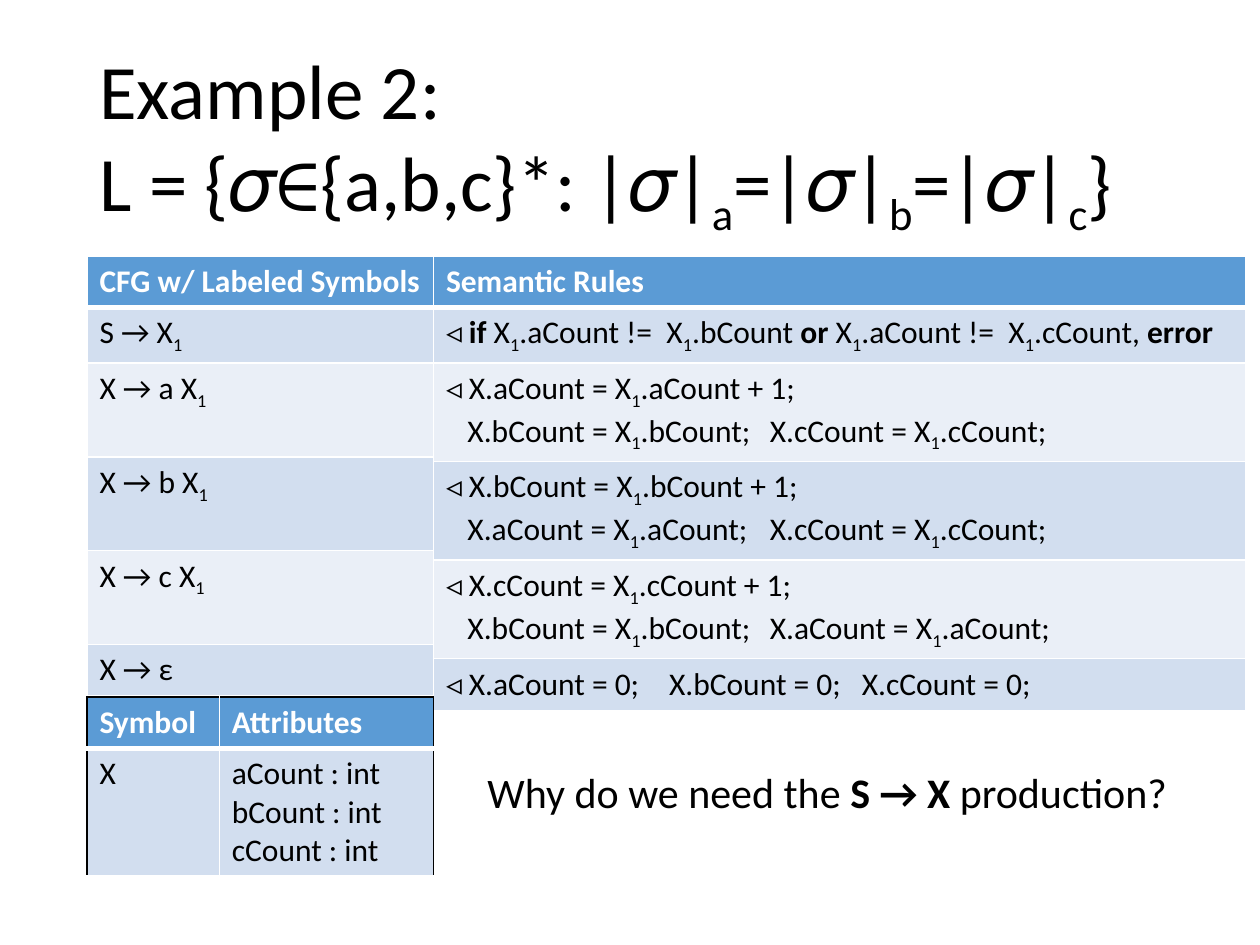
from lxml.etree import SubElement as Sub
from pptx import Presentation
from pptx.dml.color import RGBColor as Rgb
from pptx.enum.text import MSO_ANCHOR as Anchor
from pptx.oxml.ns import qn
from pptx.util import Inches, Pt

# Markup: `x` is a subscript, #x# is bold, a tab moves to the next stop.
TITLE = ["Example 2:", "L = {𝜎∈{a,b,c}*: |𝜎|`a`=|𝜎|`b`=|𝜎|`c`}"]
ASK = ["Why do we need the #S → X #production?"]
STOPS = [0.17, 1.77, 2.57, 3.3]

HEAD, BANDS = "5B9BD5", ["EAEFF7", "D2DEEF"]
WHITE, BLACK = "FFFFFF", "000000"


def count(one, two, three):
    """Give the two lines of a rule that counts one symbol."""
    return (f"◃ X.{one}Count = X`1`.{one}Count + 1;\n"
            f"\tX.{two}Count = X`1`.{two}Count;"
            f"\tX.{three}Count = X`1`.{three}Count;")


TABLES = [
    {"at": (0.69, 2.03), "cols": [2.75], "edge": WHITE,
     "rows": [0.41, 0.43, 0.745, 0.745, 0.745, 0.41],
     "cells": [["CFG w/ Labeled Symbols"], ["S → X`1`"], ["X → a X`1`"],
               ["X → b X`1`"], ["X → c X`1`"], ["X → ε"]]},
    {"at": (3.44, 2.03), "cols": [6.45], "edge": WHITE,
     "rows": [0.41, 0.43, 0.78, 0.78, 0.78, 0.41],
     "cells": [["Semantic Rules"],
               ["◃ #if #X`1`.aCount !=  X`1`.bCount #or# X`1`.aCount"
                " !=  X`1`.cCount, #error#"],
               [count("a", "b", "c")], [count("b", "a", "c")],
               [count("c", "b", "a")],
               ["◃ X.aCount = 0;\tX.bCount = 0;\tX.cCount = 0;"]]},
    {"at": (0.69, 5.53), "cols": [1.05, 1.7], "edge": BLACK,
     "rows": [0.41, 1.01],
     "cells": [["Symbol", "Attributes"],
               ["X", "aCount : int\nbCount : int\ncCount : int"]]},
]


def rgb(code):
    """Turn a hex string into a colour."""
    return Rgb.from_string(code)


def write(frame, lines, size, color=BLACK, bold=False, space=None):
    """Write marked-up lines as paragraphs of a text frame."""
    for n, line in enumerate(lines):
        para = frame.add_paragraph() if n else frame.paragraphs[0]
        if space:
            para.line_spacing = space
        if "\t" in line:
            tabs = Sub(para._p.get_or_add_pPr(), qn("a:tabLst"))
            for stop in STOPS:
                Sub(tabs, qn("a:tab"), pos=str(Inches(stop)), algn="l")
        for i, bit in enumerate(line.split("`")):
            for j, part in enumerate(bit.split("#")):
                if not part:
                    continue
                run = para.add_run()
                run.text = part
                look = {"name": "Calibri", "size": Pt(size),
                        "bold": bold or j % 2 == 1}
                for key, val in look.items():
                    setattr(run.font, key, val)
                run.font.color.rgb = rgb(color)
                if i % 2:
                    run.font._element.set("baseline", "-25000")


def border(cell, sides):
    """Draw cell borders from (side, colour, points), ahead of the fill."""
    props = cell._tc.get_or_add_tcPr()
    for side, color, width in sides:
        line = Sub(props, qn("a:ln" + side), w=str(Pt(width)))
        fill = Sub(line, qn("a:solidFill"))
        Sub(fill, qn("a:srgbClr"), val=color)


def grid(slide, at, cols, rows, cells, edge):
    """Add a banded table whose outer edge has its own colour."""
    size = [Inches(v) for v in (*at, sum(cols), sum(rows))]
    table = slide.shapes.add_table(len(rows), len(cols), *size).table
    for col, wide in zip(table.columns, cols):
        col.width = Inches(wide)
    for r, (row, tall) in enumerate(zip(table.rows, rows)):
        row.height = Inches(tall)
        for c, text in enumerate(cells[r]):
            cell = table.cell(r, c)
            top = r == 0
            border(cell, [
                ("L", WHITE if c else edge, 1),
                ("R", edge if c == len(cols) - 1 else WHITE, 1),
                ("T", edge if top else WHITE, 3 if r == 1 else 1),
                ("B", WHITE, 3 if top else 1)])
            cell.fill.solid()
            cell.fill.fore_color.rgb = rgb(HEAD if top else BANDS[r % 2])
            write(cell.text_frame, text.split("\n"), 18,
                  WHITE if top else BLACK, top)


def label(slide, at, lines, size, wrap, **look):
    """Add a text box."""
    box = slide.shapes.add_textbox(*[Inches(v) for v in at])
    frame = box.text_frame
    frame.word_wrap = wrap
    frame.vertical_anchor = Anchor.MIDDLE
    write(frame, lines, size, **look)


deck = Presentation()
deck.slide_width, deck.slide_height = Inches(10), Inches(7.5)
slide = deck.slides.add_slide(deck.slide_layouts[6])
label(slide, (0.69, 0.4, 8.62, 1.45), TITLE, 44, True, space=0.9)
for spec in TABLES:
    grid(slide, **spec)
label(slide, (3.77, 6.03, 5.61, 0.5), ASK, 24, False)
deck.save("out.pptx")
